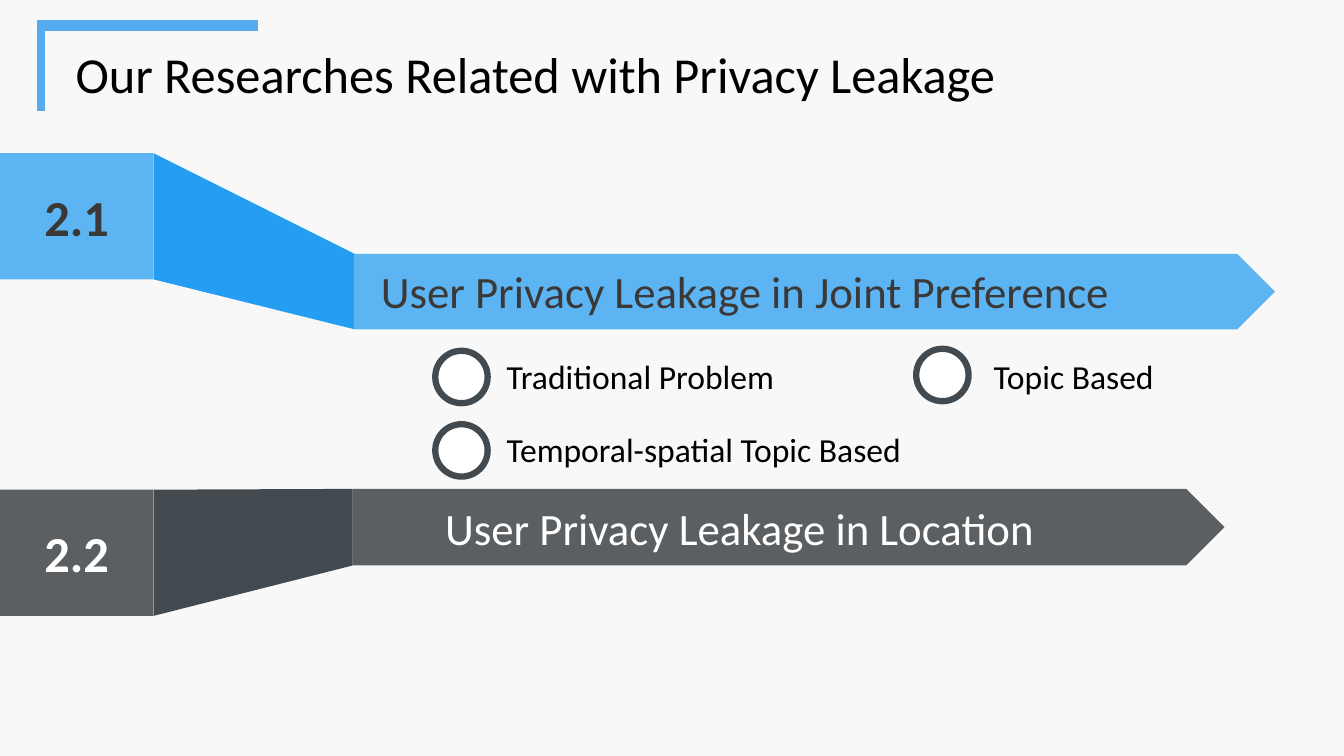
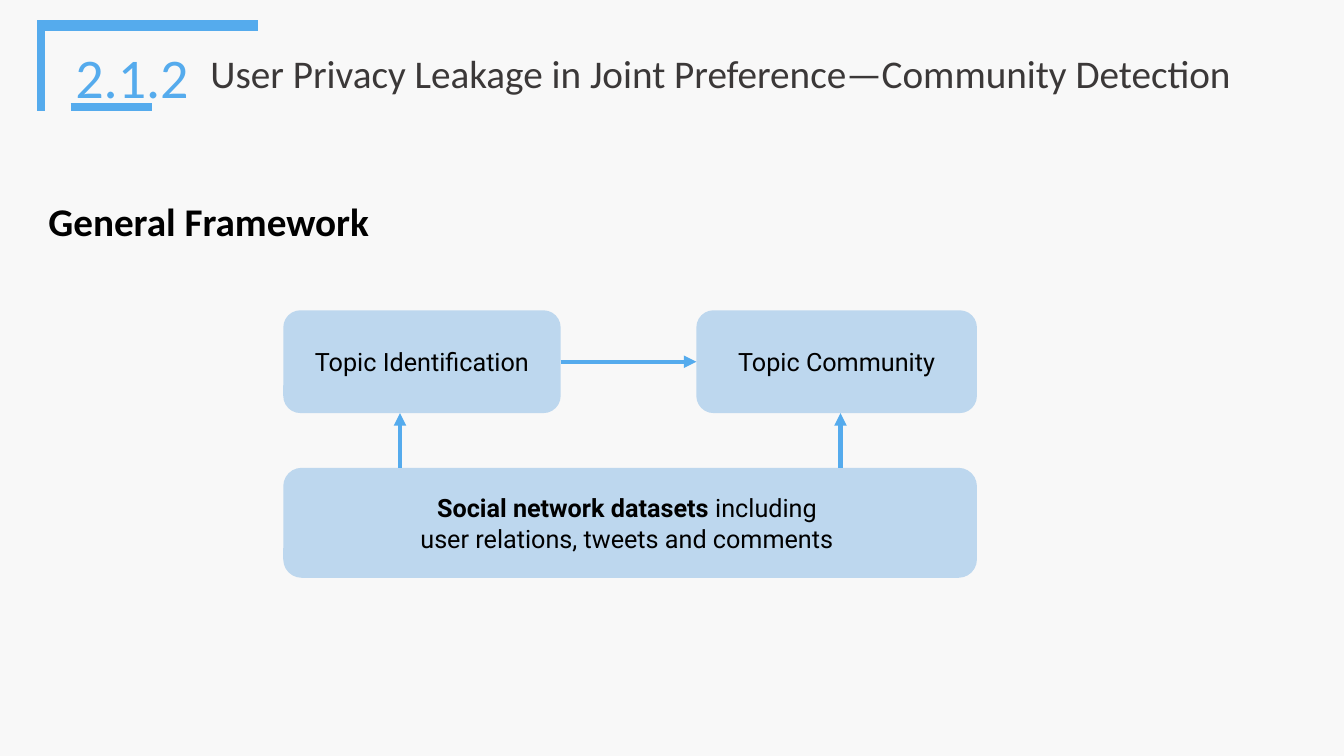
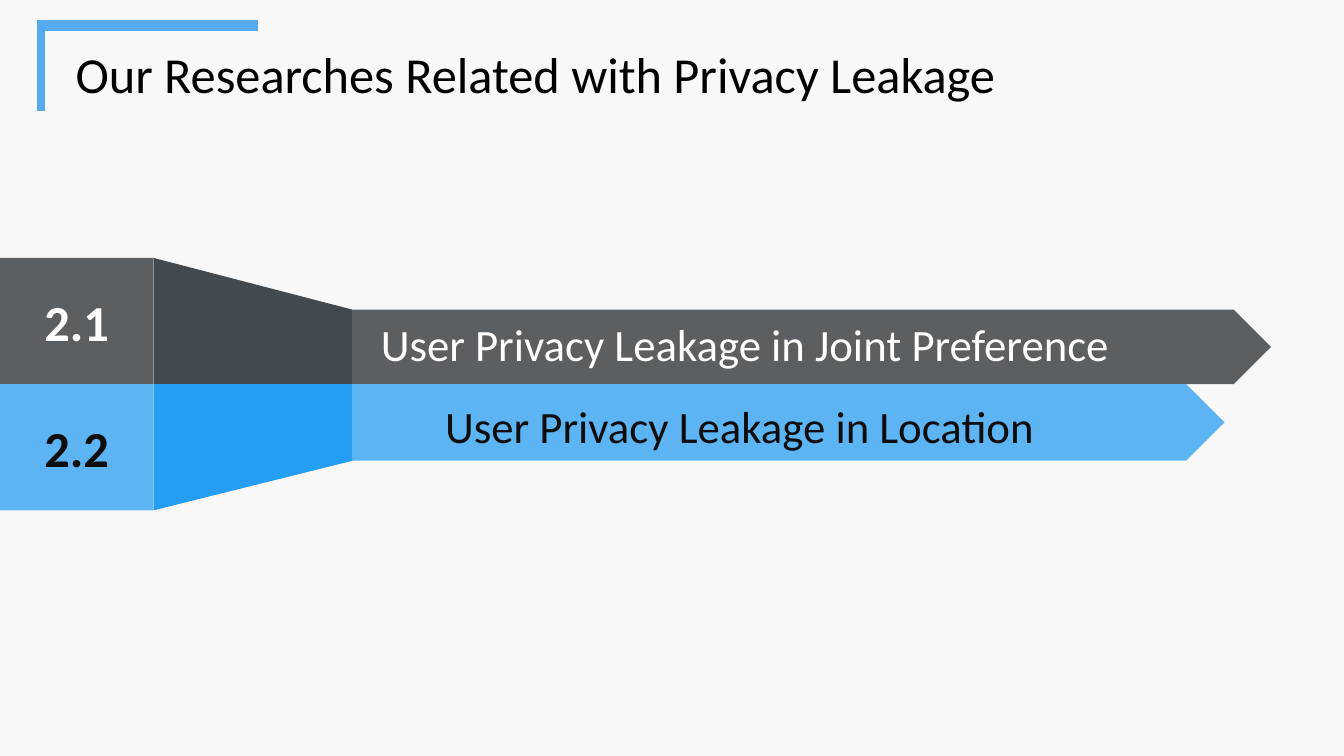
import dataclasses
from typing import NamedTuple, Optional

import lxml.etree
import pptx
import pptx.dml.color
import pptx.enum.shapes
import pptx.enum.text
import pptx.oxml.ns
import pptx.presentation
import pptx.shapes.autoshape
import pptx.shapes.connector
import pptx.slide
import pptx.text.text
import pptx.util

Shapes = pptx.enum.shapes.MSO_SHAPE
Align = pptx.enum.text.PP_ALIGN
Anchor = pptx.enum.text.MSO_ANCHOR


class Tone(NamedTuple):
    face: str
    fold: str
    text: str


@dataclasses.dataclass(frozen=True)
class Theme:
    background: str = "F8F8F8"
    accent: str = "55ABED"
    ink: str = "000000"
    soft_ink: str = "3B3838"
    ring: str = "434A4F"
    white: str = "FFFFFF"
    panel: str = "BDD7EE"
    blue: Tone = Tone("5DB4F2", "259DF2", "3B3838")
    blue_dark_text: Tone = Tone("5DB4F2", "259DF2", "0D0D0D")
    grey: Tone = Tone("5B5F62", "434A4F", "FFFFFF")
    heading_font: str = "Calibri"
    diagram_font: str = "Roboto"
    section_size: float = 40
    title_size: float = 36
    label_size: float = 32
    subtitle_size: float = 28
    item_size: float = 24
    diagram_size: float = 18
    top_rule: float = 7.5
    side_rule: float = 5.75
    ring_width: float = 4.5
    arrow_width: float = 3


THEME = Theme()


class Point(NamedTuple):
    x: float
    y: float

    def lengths(self) -> tuple[pptx.util.Length, pptx.util.Length]:
        return pptx.util.Cm(self.x), pptx.util.Cm(self.y)


class Area(NamedTuple):
    left: float
    top: float
    width: float
    height: float

    def lengths(self) -> list[pptx.util.Length]:
        return [pptx.util.Cm(value) for value in self]


class TextStyle(NamedTuple):
    size: float
    color: str = THEME.ink
    bold: Optional[bool] = None
    font: str = THEME.heading_font


@dataclasses.dataclass(frozen=True)
class Ribbon:
    number: str
    label: str
    tone: Tone
    tab_top: float
    arrow: Area
    label_at: Point


@dataclasses.dataclass(frozen=True)
class Item:
    text: str
    ring_at: Point
    text_area: Area


TAB_WIDTH, TAB_HEIGHT = 3.87, 3.18
RING_SIZE = 1.32
TITLE = "Our Researches Related with Privacy Leakage"
TITLE_AREA = Area(1.65, 0.94, 23.9, 1.8)
JOINT_PREFERENCE = "User Privacy Leakage in Joint Preference"
LOCATION = "User Privacy Leakage in Location"

OVERVIEW_RIBBONS = [
    Ribbon("2.1", JOINT_PREFERENCE, THEME.blue, 3.86,
           Area(8.94, 6.4, 23.19, 1.9), Point(9.35, 6.53)),
    Ribbon("2.2", LOCATION, THEME.grey, 12.34,
           Area(8.89, 12.32, 21.97, 1.93), Point(10.97, 12.5)),
]
OVERVIEW_ITEMS = [
    Item("Traditional Problem", Point(10.97, 8.84), Area(12.52, 8.84, 9.07, 1.28)),
    Item("Temporal-spatial Topic Based", Point(10.97, 10.69), Area(12.52, 10.69, 10.9, 1.28)),
    Item("Topic Based", Point(23.09, 8.79), Area(24.79, 8.84, 6.4, 1.28)),
]
LOCATION_RIBBONS = [
    Ribbon("2.1", JOINT_PREFERENCE, THEME.grey, 6.5,
           Area(8.87, 7.8, 23.16, 1.88), Point(9.35, 7.85)),
    Ribbon("2.2", LOCATION, THEME.blue_dark_text, 9.68,
           Area(8.89, 9.68, 21.97, 1.93), Point(10.97, 9.93)),
]


def rgb(color: str) -> pptx.dml.color.RGBColor:
    return pptx.dml.color.RGBColor.from_string(color)


def style_paragraph(para: pptx.text.text._Paragraph, style: TextStyle, align: Align) -> None:
    para.alignment = align
    para.font.name = style.font
    para.font.size = pptx.util.Pt(style.size)
    para.font.bold = style.bold
    para.font.color.rgb = rgb(style.color)


def paint(shape: pptx.shapes.autoshape.Shape, color: str) -> None:
    shape.shadow.inherit = False
    shape.fill.solid()
    shape.fill.fore_color.rgb = rgb(color)
    shape.line.fill.background()


def add_block(page: pptx.slide.Slide, kind: Shapes, area: Area, color: str,
              text: str = "", style: Optional[TextStyle] = None) -> pptx.shapes.autoshape.Shape:
    block = page.shapes.add_shape(kind, *area.lengths())
    paint(block, color)
    if style:
        frame = block.text_frame
        frame.vertical_anchor = Anchor.MIDDLE
        frame.text = text
        style_paragraph(frame.paragraphs[0], style, Align.CENTER)
    return block


def add_text(page: pptx.slide.Slide, area: Area, text: str, style: TextStyle,
             wrap: bool = False) -> pptx.text.text._Paragraph:
    frame = page.shapes.add_textbox(*area.lengths()).text_frame
    frame.word_wrap = wrap
    frame.text = text
    style_paragraph(frame.paragraphs[0], style, Align.LEFT)
    return frame.paragraphs[0]


def add_line(page: pptx.slide.Slide, start: Point, end: Point, width: float,
             arrow: bool = False) -> pptx.shapes.connector.Connector:
    line = page.shapes.add_connector(
        pptx.enum.shapes.MSO_CONNECTOR.STRAIGHT, *start.lengths(), *end.lengths())
    line.line.color.rgb = rgb(THEME.accent)
    line.line.width = pptx.util.Pt(width)
    properties = line.element.spPr
    if arrow:
        outline = properties.find(pptx.oxml.ns.qn("a:ln"))
        lxml.etree.SubElement(outline, pptx.oxml.ns.qn("a:tailEnd"), type="triangle")
    lxml.etree.SubElement(properties, pptx.oxml.ns.qn("a:effectLst"))
    return line


def add_page(deck: pptx.presentation.Presentation, title: str, area: Area,
             style: TextStyle) -> pptx.slide.Slide:
    page = deck.slides.add_slide(deck.slide_layouts.get_by_name("Title Only"))
    box = page.shapes.title
    box.left, box.top, box.width, box.height = area.lengths()
    frame = box.text_frame
    frame.text = title
    frame.word_wrap = False
    frame.auto_size = pptx.enum.text.MSO_AUTO_SIZE.NONE
    frame.vertical_anchor = Anchor.MIDDLE
    style_paragraph(frame.paragraphs[0], style, Align.LEFT)
    add_line(page, Point(0.94, 0.64), Point(6.5, 0.64), THEME.top_rule)
    add_line(page, Point(1.04, 2.79), Point(1.04, 0.53), THEME.side_rule)
    return page


def add_fold(page: pptx.slide.Slide, ribbon: Ribbon) -> None:
    arrow = ribbon.arrow
    corners = [
        Point(TAB_WIDTH, ribbon.tab_top),
        Point(arrow.left, arrow.top),
        Point(arrow.left, arrow.top + arrow.height),
        Point(TAB_WIDTH, ribbon.tab_top + TAB_HEIGHT),
    ]
    builder = page.shapes.build_freeform(*corners[0].lengths())
    builder.add_line_segments([corner.lengths() for corner in corners[1:]], close=True)
    paint(builder.convert_to_shape(), ribbon.tone.fold)


def add_ribbon(page: pptx.slide.Slide, ribbon: Ribbon) -> None:
    tone = ribbon.tone
    add_block(page, Shapes.RECTANGLE, Area(0, ribbon.tab_top, TAB_WIDTH, TAB_HEIGHT), tone.face,
              ribbon.number, TextStyle(THEME.title_size, tone.text, True))
    add_block(page, Shapes.PENTAGON, ribbon.arrow, tone.face)
    add_fold(page, ribbon)
    add_text(page, Area(*ribbon.label_at, 19.3, 1.63), ribbon.label,
             TextStyle(THEME.label_size, tone.text))


def add_item(page: pptx.slide.Slide, item: Item) -> None:
    ring = add_block(page, Shapes.OVAL, Area(*item.ring_at, RING_SIZE, RING_SIZE), THEME.white)
    ring.line.color.rgb = rgb(THEME.ring)
    ring.line.width = pptx.util.Pt(THEME.ring_width)
    add_text(page, item.text_area, item.text, TextStyle(THEME.item_size), wrap=True)


def add_ribbon_page(deck: pptx.presentation.Presentation, ribbons: list[Ribbon],
                    items: list[Item]) -> None:
    page = add_page(deck, TITLE, TITLE_AREA, TextStyle(THEME.title_size))
    for ribbon in ribbons:
        add_ribbon(page, ribbon)
    for item in items:
        add_item(page, item)


def add_framework_page(deck: pptx.presentation.Presentation) -> None:
    page = add_page(deck, "User Privacy Leakage in Joint Preference—Community Detection",
                    Area(5.05, 1.12, 26.7, 1.45),
                    TextStyle(THEME.subtitle_size, THEME.soft_ink))
    add_line(page, Point(1.78, 2.69), Point(3.84, 2.69), THEME.side_rule)
    add_text(page, Area(1.65, 0.94, 3.4, 1.96), "2.1.2",
             TextStyle(THEME.section_size, THEME.accent))
    heading = add_text(page, Area(0.97, 4.98, 9.04, 1.45), "General Framework",
                       TextStyle(THEME.subtitle_size, bold=True), wrap=True)
    heading.line_spacing = 0.9

    style = TextStyle(THEME.diagram_size, font=THEME.diagram_font)
    datasets_area = Area(7.14, 11.79, 17.48, 2.77)
    topic_top, topic_height = 7.82, 2.59
    identification = add_block(page, Shapes.ROUNDED_RECTANGLE,
                               Area(7.14, topic_top, 6.99, topic_height), THEME.panel,
                               "Topic Identification", style)
    community = add_block(page, Shapes.ROUNDED_RECTANGLE,
                          Area(17.55, topic_top, 7.07, topic_height), THEME.panel,
                          "Topic Community", style)
    datasets = add_block(page, Shapes.ROUNDED_RECTANGLE, datasets_area, THEME.panel, "", style)
    first = datasets.text_frame.paragraphs[0]
    for text, bold in (("Social network datasets ", True), ("including ", False)):
        span = first.add_run()
        span.text = text
        span.font.bold = bold
    second = datasets.text_frame.add_paragraph()
    second.text = "user relations, tweets and comments "
    style_paragraph(second, style, Align.CENTER)

    middle = topic_top + topic_height / 2
    link = add_line(page, Point(14.13, middle), Point(17.55, middle), THEME.arrow_width, arrow=True)
    link.begin_connect(identification, 3)
    link.end_connect(community, 1)
    for x in (10.08, 21.18):
        add_line(page, Point(x, datasets_area.top), Point(x, topic_top + topic_height),
                 THEME.arrow_width, arrow=True)


def main() -> None:
    deck = pptx.Presentation()
    deck.slide_width, deck.slide_height = pptx.util.Cm(33.87), pptx.util.Cm(19.05)
    background = deck.slide_master.background.fill
    background.solid()
    background.fore_color.rgb = rgb(THEME.background)
    add_ribbon_page(deck, OVERVIEW_RIBBONS, OVERVIEW_ITEMS)
    add_framework_page(deck)
    add_ribbon_page(deck, LOCATION_RIBBONS, [])
    deck.save("out.pptx")


if __name__ == "__main__":
    main()
